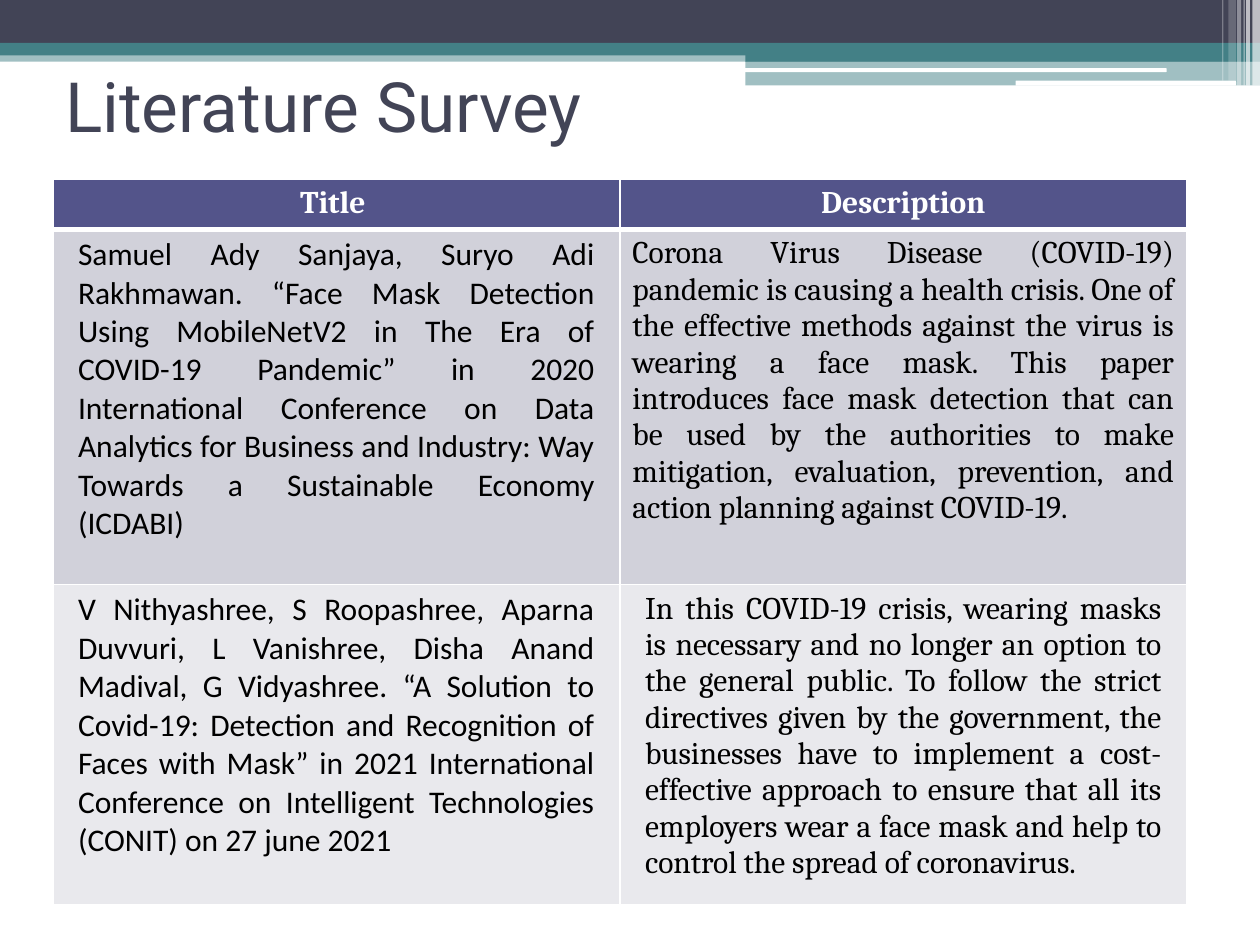
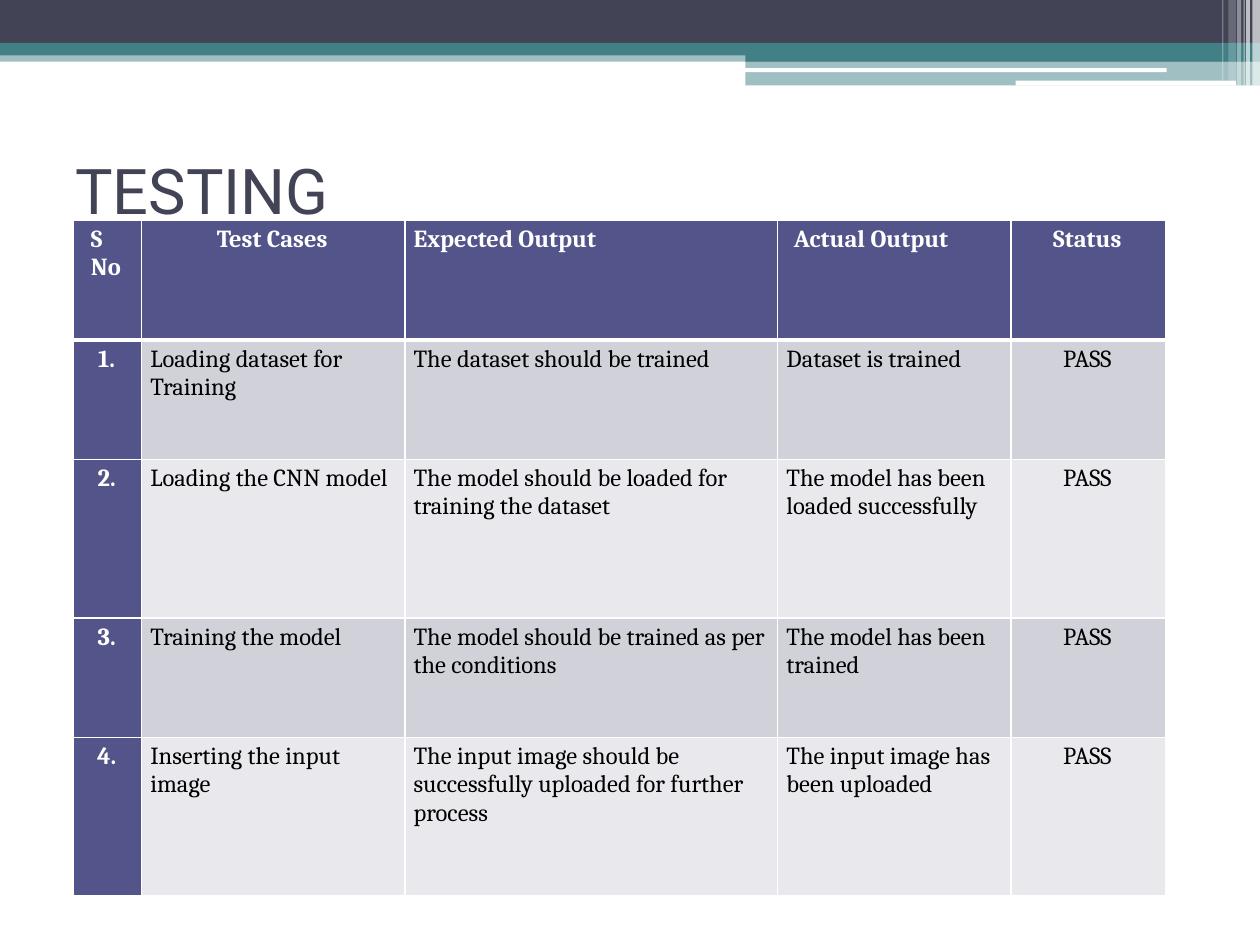
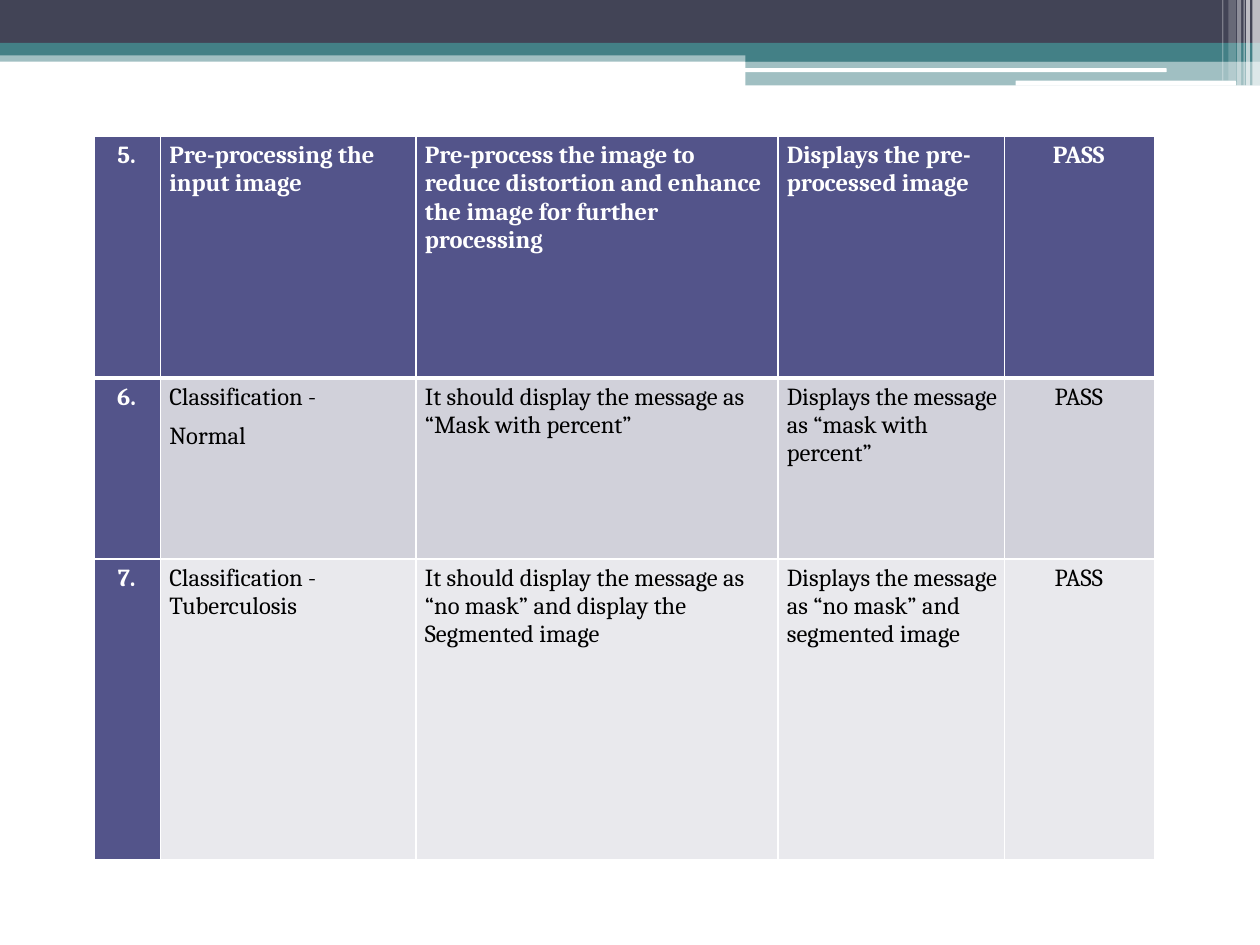
from lxml.etree import SubElement
from pptx import Presentation
from pptx.dml.color import RGBColor
from pptx.enum.shapes import MSO_SHAPE as SHAPE
from pptx.enum.text import MSO_ANCHOR as ANCHOR, PP_ALIGN as ALIGN
from pptx.oxml.ns import qn
from pptx.util import Pt

WHITE, BLACK, NAVY, TEAL = "FFFFFF", "000000", "424456", "438086"
HEADER, BANDS = "53548A", ("E9E9ED", "D1D1DA")
SERIF = "Cambria"

RECTANGLES = [
    (0, 28.8, 720, 6.5, TEAL, 50),
    (0, 0, 720, 24.5, NAVY, 100),
    (0, 24.5, 720, 7.2, TEAL, 100),
    (426, 28.1, 294, 7.2, TEAL, 100),
    (426, 34.9, 294, 14, TEAL, 50),
]
ROUNDED = [
    (425.5, 39, 241.2, 2.2, WHITE, 100),
    (580.3, 46.1, 126, 2.9, WHITE, 100),
]
STRIPES = [
    (715.7, 0, 4.3, 49, WHITE, 65),
    (712.1, 0, 2.2, 49, WHITE, 65),
    (710.6, 0, 0.7, 49, WHITE, 60),
    (707, 0, 2.2, 49, WHITE, 40),
    (702, 0, 4.3, 46.1, WHITE, 20),
    (698.4, 0, 0.7, 46.1, WHITE, 30),
]

SURVEY_ROWS = [
    ["Title ", "Description"],
    [
        "Samuel Ady Sanjaya, Suryo Adi Rakhmawan. “Face Mask Detection Using "
        "MobileNetV2 in The Era of COVID-19 Pandemic” in 2020 International "
        "Conference on Data Analytics for Business and Industry: Way Towards a "
        "Sustainable Economy (ICDABI)",
        "Corona Virus Disease (COVID-19) pandemic is causing a health crisis. One "
        "of the effective methods against the virus is wearing a face mask. This "
        "paper introduces face mask detection that can be used by the authorities "
        "to make mitigation, evaluation, prevention, and action planning against "
        "COVID-19. ",
    ],
    [
        "V Nithyashree, S Roopashree, Aparna Duvvuri, L Vanishree, Disha Anand "
        "Madival, G Vidyashree. “A Solution to Covid-19: Detection and Recognition "
        "of Faces with Mask” in 2021 International Conference on Intelligent "
        "Technologies (CONIT) on 27 june 2021",
        "In this COVID-19 crisis, wearing masks is necessary and no longer an "
        "option to the general public. To follow the strict directives given by "
        "the government, the businesses have to implement a cost-effective "
        "approach to ensure that all its employers wear a face mask and help to "
        "control the spread of coronavirus. ",
    ],
]
FIRST_TESTS = [
    ["S No", "Test Cases ", "Expected Output", "Actual Output", "Status "],
    ["1. ", "Loading dataset for\nTraining", "The dataset should be trained",
     "Dataset is trained", "PASS "],
    ["2. ", "Loading the CNN model",
     "The model should be loaded for training the dataset",
     "The model has been loaded successfully", "PASS "],
    ["3. ", "Training the model", "The model should be trained as per the conditions",
     "The model has been trained", "PASS "],
    ["4. ", "Inserting the input image",
     "The input image should be successfully uploaded for further process",
     "The input image has been uploaded", "PASS "],
]
LAST_TESTS = [
    ["5. ", "Pre-processing the input image",
     "Pre-process the image to reduce distortion and enhance the image for further processing",
     "Displays the pre-processed image", "PASS "],
    ["6. ", "Classification -\nNormal",
     "It should display the message as “Mask with percent”",
     "Displays the message as “mask with percent”", "PASS "],
    ["7. ", "Classification -\nTuberculosis",
     "It should display the message as “no mask” and display the Segmented image",
     "Displays the message as “no mask” and segmented image", "PASS "],
]

SURVEY = {
    "columns": [1, 1], "size": 18, "first_column": False,
    "margins": (7.2, 3.6, 7.2, 3.6),
    "aligns": [ALIGN.JUSTIFY] * 2,
    "fonts": ["Calibri", SERIF],
}
TESTS = {
    "columns": [0.54, 2.09, 2.96, 1.85, 1.23], "size": 14, "first_column": True,
    "margins": (5, 2.9, 2.9, 0),
    "aligns": [ALIGN.CENTER] + [ALIGN.LEFT] * 3 + [ALIGN.CENTER],
    "fonts": [SERIF] * 5,
}
INDENTED = {"left": 7.2, "right": 7.2, "space_before": Pt(2.4)}
CENTERED = {"alignment": ALIGN.CENTER}
SLIDES = [
    {"title": ("Literature Survey", 30.2, 36, 48.2, 39.6),
     "frame": (30.2, 102.2, 648), "heights": [28, 203, 183],
     "style": SURVEY, "rows": SURVEY_ROWS,
     "special": {(0, 0): CENTERED, (0, 1): CENTERED,
                 (1, 0): INDENTED, (2, 0): INDENTED, (2, 1): INDENTED}},
    {"title": ("TESTING", 36, 90, 36, 36),
     "frame": (42, 126, 624.2), "heights": [68.3, 68.3, 90.6, 68.3, 90.6],
     "style": TESTS, "rows": FIRST_TESTS,
     "special": {(0, 0): {"alignment": ALIGN.LEFT, "left": 5},
                 (0, 1): CENTERED, (0, 3): {"left": 4.3}}},
    {"title": None,
     "frame": (54, 78, 606), "heights": [138, 103.5, 172],
     "style": TESTS, "rows": LAST_TESTS,
     "special": {(1, 1): {"space_after": Pt(6.3)}}},
]


def paint(fill, color, opacity=100):
    fill.solid()
    fill.fore_color.rgb = RGBColor.from_string(color)
    if opacity < 100:
        color_element = fill._xPr.find(qn("a:solidFill"))[0]
        SubElement(color_element, qn("a:alpha"), val=str(opacity * 1000))


def write(paragraph, text, size, font, color, bold=False):
    run = paragraph.add_run()
    run.text = text
    for name, value in {"size": Pt(size), "name": font, "bold": bold}.items():
        setattr(run.font, name, value)
    run.font.color.rgb = RGBColor.from_string(color)


presentation = Presentation()
presentation.slide_width, presentation.slide_height = Pt(720), Pt(540)

for content in SLIDES:
    slide = presentation.slides.add_slide(presentation.slide_layouts[6])
    paint(slide.background.fill, WHITE)

    for kind, bands in ((SHAPE.RECTANGLE, RECTANGLES),
                        (SHAPE.ROUNDED_RECTANGLE, ROUNDED),
                        (SHAPE.RECTANGLE, STRIPES)):
        for *box, color, opacity in bands:
            shape = slide.shapes.add_shape(kind, *map(Pt, box))
            shape.shadow.inherit = False
            shape.line.fill.background()
            paint(shape.fill, color, opacity)

    if content["title"]:
        text, left, top, height, size = content["title"]
        title = slide.shapes.add_textbox(Pt(left), Pt(top), Pt(648), Pt(height))
        title.text_frame.word_wrap = True
        title.text_frame.vertical_anchor = ANCHOR.MIDDLE
        write(title.text_frame.paragraphs[0], text, size, "Roboto", NAVY)

    style, rows, heights = content["style"], content["rows"], content["heights"]
    left, top, width = content["frame"]
    table = slide.shapes.add_table(len(rows), len(rows[0]), Pt(left), Pt(top),
                                   Pt(width), Pt(sum(heights))).table
    table.horz_banding = False
    for column, share in zip(table.columns, style["columns"]):
        column.width = Pt(width * share / sum(style["columns"]))
    for row, height in zip(table.rows, heights):
        row.height = Pt(height)

    for row_index, row in enumerate(rows):
        for column_index, text in enumerate(row):
            cell = table.cell(row_index, column_index)
            is_header = row_index == 0
            is_strong = is_header or (style["first_column"] and column_index == 0)
            sides = ("left", "top", "right", "bottom")
            for side, margin in zip(sides, style["margins"]):
                setattr(cell, f"margin_{side}", Pt(margin))

            properties = cell._tc.get_or_add_tcPr()
            thick_side = {0: "lnB", 1: "lnT"}.get(row_index)
            for side in ("lnL", "lnR", "lnT", "lnB"):
                line_width = Pt(3 if side == thick_side else 1)
                border = SubElement(properties, qn(f"a:{side}"), w=str(line_width))
                fill = SubElement(border, qn("a:solidFill"))
                SubElement(fill, qn("a:srgbClr"), val=WHITE)
            paint(cell.fill, HEADER if is_strong else BANDS[row_index % 2])

            formats = {"alignment": style["aligns"][column_index]}
            formats.update(content["special"].get((row_index, column_index), {}))
            indents = {"marL": formats.pop("left", 0), "marR": formats.pop("right", 0)}
            font = SERIF if is_header else style["fonts"][column_index]
            for line_index, line in enumerate(text.split("\n")):
                frame = cell.text_frame
                paragraph = frame.add_paragraph() if line_index else frame.paragraphs[0]
                for name, value in formats.items():
                    setattr(paragraph, name, value)
                for name, value in indents.items():
                    paragraph._p.get_or_add_pPr().set(name, str(Pt(value)))
                write(paragraph, line, style["size"], font,
                      WHITE if is_strong else BLACK, is_strong)

presentation.save("out.pptx")
